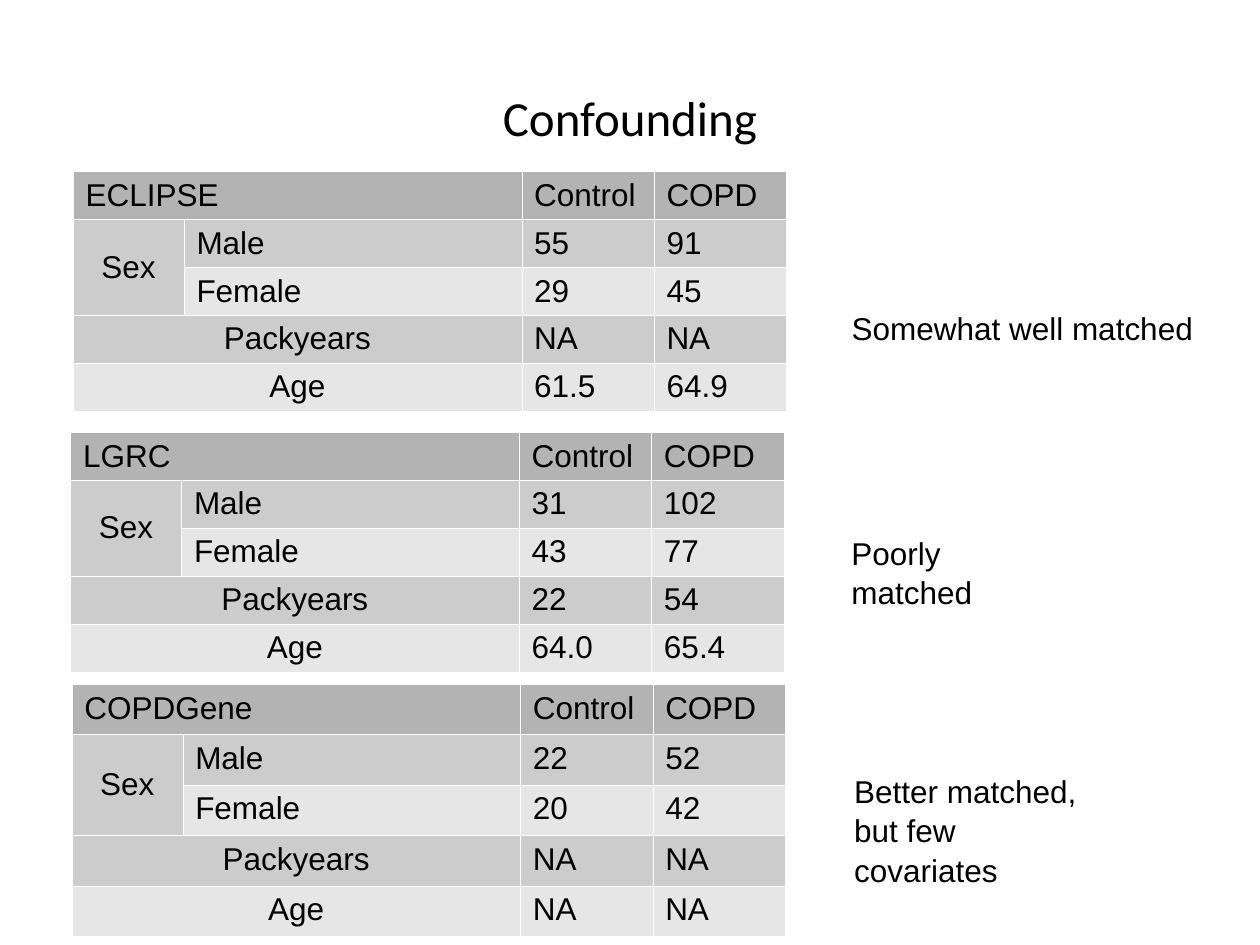
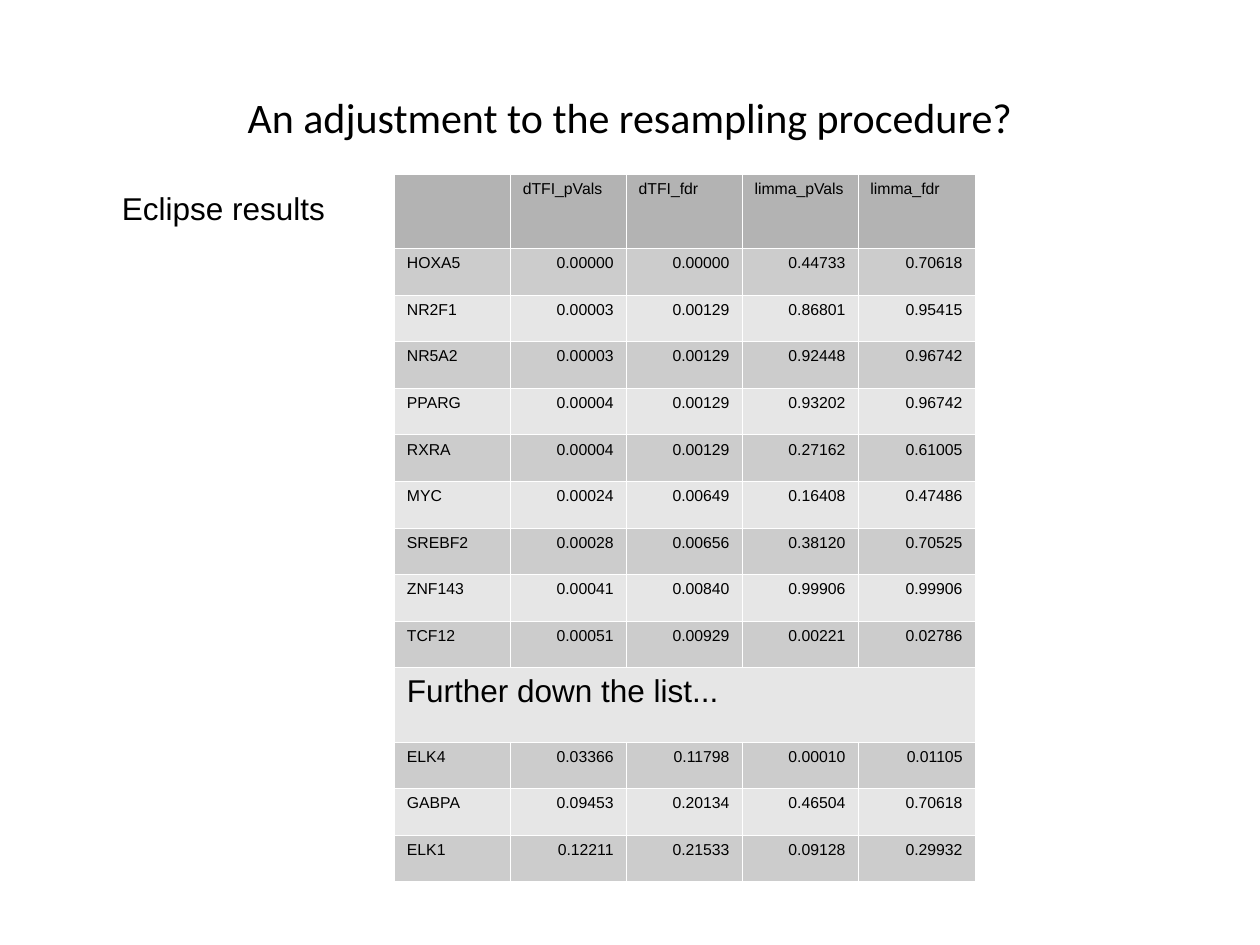
from lxml import etree
from pptx import Presentation
from pptx.dml.color import RGBColor
from pptx.enum import text
from pptx.oxml import ns
from pptx.util import Inches, Pt

BLACK = RGBColor(0x00, 0x00, 0x00)
WHITE = RGBColor(0xFF, 0xFF, 0xFF)
HEADER = RGBColor(0xB3, 0xB3, 0xB3)
BANDS = (RGBColor(0xCC, 0xCC, 0xCC), RGBColor(0xE6, 0xE6, 0xE6))
LEFT, CENTER, RIGHT = text.PP_ALIGN.LEFT, text.PP_ALIGN.CENTER, text.PP_ALIGN.RIGHT
MIDDLE = text.MSO_ANCHOR.MIDDLE


class Deck:
    title_font = "Calibri"
    body_font = "Arial"
    border = Pt(0.06)

    def __init__(self):
        self.prs = Presentation()
        self.prs.slide_width, self.prs.slide_height = Inches(10), Inches(7.5)
        self.s = None

    def style(self, p, size, align=LEFT, font=body_font):
        p.alignment = align
        p.font.name, p.font.size, p.font.color.rgb = font, Pt(size), BLACK

    def add_slide(self, title, size):
        self.s = self.prs.slides.add_slide(self.prs.slide_layouts[5])
        sp = self.s.shapes.title
        sp.left, sp.top, sp.width, sp.height = map(Inches, (0.5, 0.3, 9, 1.25))
        tf = sp.text_frame
        tf.text = title
        tf.vertical_anchor = MIDDLE
        self.style(tf.paragraphs[0], size, CENTER, self.title_font)

    def add_note(self, lines, left, top, width, height, wrap=False):
        sp = self.s.shapes.add_textbox(*map(Inches, (left, top, width, height)))
        tf = sp.text_frame
        tf.word_wrap = wrap
        tf.text = "\n".join(lines)
        for p in tf.paragraphs:
            self.style(p, 18)
            p.line_spacing = 1.05

    def add_table(self, rows, left, top, widths, heights, size):
        """Add a banded grid; None marks a cell that a merge will cover."""
        frame = self.s.shapes.add_table(
            len(rows), len(widths), Inches(left), Inches(top),
            Inches(sum(widths)), Inches(sum(heights)))
        table = frame.table
        for column, width in zip(table.columns, widths):
            column.width = Inches(width)
        for r, (values, height) in enumerate(zip(rows, heights)):
            table.rows[r].height = Inches(height)
            for c, value in enumerate(values):
                cell = table.cell(r, c)
                self.add_borders(cell)
                cell.fill.solid()
                cell.fill.fore_color.rgb = BANDS[(r - 1) % 2] if r else HEADER
                if value:
                    self.set_cell(cell, value, size)
        return table

    def set_cell(self, cell, value, size, align=LEFT):
        cell.text = value
        self.style(cell.text_frame.paragraphs[0], size, align)

    def add_borders(self, cell):
        tc_pr = cell._tc.get_or_add_tcPr()
        for side in ("lnL", "lnR", "lnT", "lnB"):
            ln = etree.SubElement(tc_pr, ns.qn(f"a:{side}"), w=str(int(self.border)))
            fill = etree.SubElement(ln, ns.qn("a:solidFill"))
            etree.SubElement(fill, ns.qn("a:srgbClr"), val=str(WHITE))


def add_cohort(deck, name, left, top, row_height, male, female, packyears, age):
    rows = [(name, None, "Control", "COPD"),
            ("Sex", "Male", *male),
            (None, "Female", *female),
            ("Packyears", None, *packyears),
            ("Age", None, *age)]
    table = deck.add_table(rows, left, top, (0.88, 2.68, 1.05, 1.05),
                           [row_height] * len(rows), 18)
    for r in (0, 3, 4):
        table.cell(r, 0).merge(table.cell(r, 1))
    table.cell(1, 0).merge(table.cell(2, 0))
    table.cell(1, 0).vertical_anchor = MIDDLE
    for r in (1, 3, 4):
        table.cell(r, 0).text_frame.paragraphs[0].alignment = CENTER


def confounding(deck):
    deck.add_slide("Confounding", 28)
    add_cohort(deck, "ECLIPSE", 0.58, 1.36, 0.38,
               ("55", "91"), ("29", "45"), ("NA", "NA"), ("61.5", "64.9"))
    add_cohort(deck, "LGRC", 0.56, 3.43, 0.38,
               ("31", "102"), ("43", "77"), ("22", "54"), ("64.0", "65.4"))
    add_cohort(deck, "COPDGene", 0.57, 5.43, 0.4,
               ("22", "52"), ("20", "42"), ("NA", "NA"), ("NA", "NA"))
    deck.add_note(["Somewhat well matched"], 6.66, 2.39, 2.91, 0.45)
    deck.add_note(["Poorly matched"], 6.66, 4.17, 1.93, 0.45)
    deck.add_note(["Better matched,", "but few covariates"], 6.68, 6.06, 2.21, 0.66)


GENES = [
    ("HOXA5", "0.00000", "0.00000", "0.44733", "0.70618"),
    ("NR2F1", "0.00003", "0.00129", "0.86801", "0.95415"),
    ("NR5A2", "0.00003", "0.00129", "0.92448", "0.96742"),
    ("PPARG", "0.00004", "0.00129", "0.93202", "0.96742"),
    ("RXRA", "0.00004", "0.00129", "0.27162", "0.61005"),
    ("MYC", "0.00024", "0.00649", "0.16408", "0.47486"),
    ("SREBF2", "0.00028", "0.00656", "0.38120", "0.70525"),
    ("ZNF143", "0.00041", "0.00840", "0.99906", "0.99906"),
    ("TCF12", "0.00051", "0.00929", "0.00221", "0.02786"),
]
LOWER_GENES = [
    ("ELK4", "0.03366", "0.11798", "0.00010", "0.01105"),
    ("GABPA", "0.09453", "0.20134", "0.46504", "0.70618"),
    ("ELK1", "0.12211", "0.21533", "0.09128", "0.29932"),
]


def resampling(deck):
    deck.add_slide("An adjustment to the resampling procedure?", 24)
    deck.add_note(["Eclipse results"], 0.87, 1.44, 8, 0.66, wrap=True)
    header = (None, "dTFI_pVals", "dTFI_fdr", "limma_pVals", "limma_fdr")
    rows = [header, *GENES, (None,) * 5, *LOWER_GENES]
    gap = len(GENES) + 1
    heights = [0.59 if r in (0, gap) else 0.37 for r in range(len(rows))]
    table = deck.add_table(rows, 3.13, 1.38, [0.92] * 4 + [0.93], heights, 9)
    table.cell(gap, 0).merge(table.cell(gap, 4))
    deck.set_cell(table.cell(gap, 0), "Further down the list...", 18)
    for r in range(1, len(rows)):
        if r != gap:
            for c in range(1, 5):
                table.cell(r, c).text_frame.paragraphs[0].alignment = RIGHT


def main():
    deck = Deck()
    confounding(deck)
    resampling(deck)
    deck.prs.save("out.pptx")


if __name__ == "__main__":
    main()
